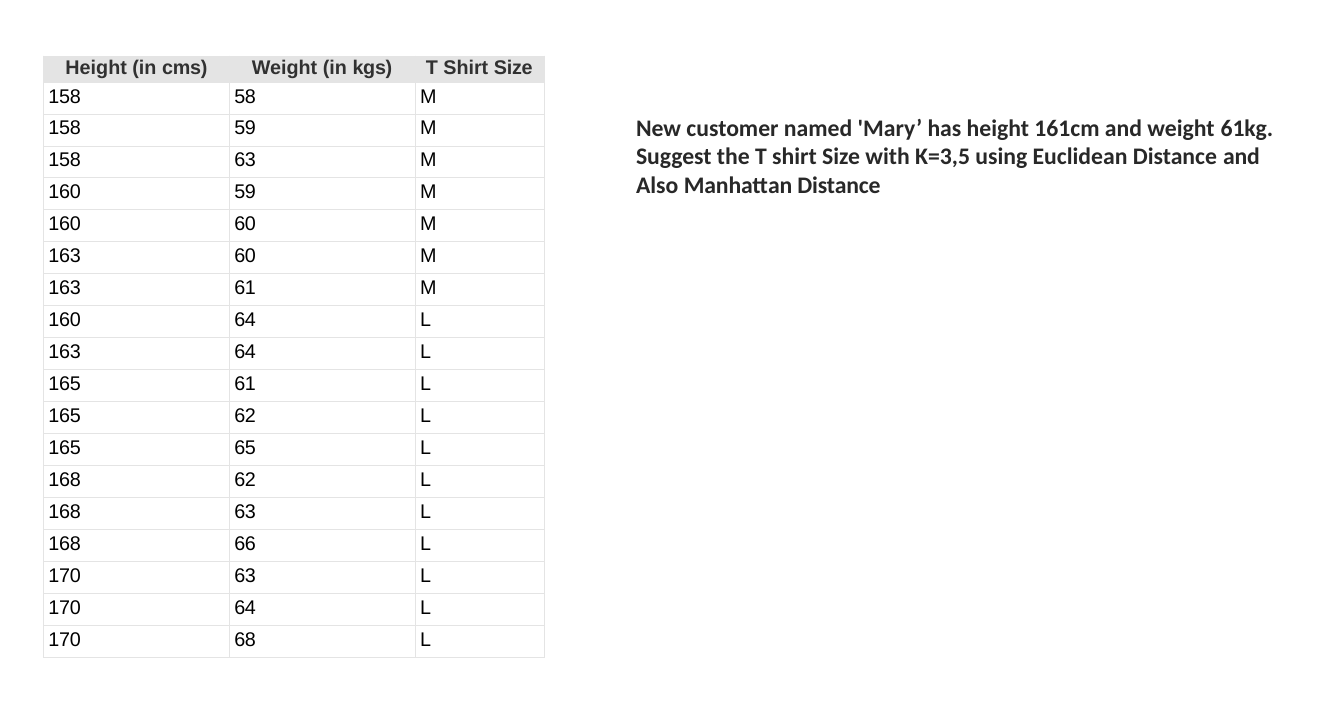
"""Build the T-shirt size table slide with its nearest-neighbour question."""
from lxml import etree
from pptx import Presentation
from pptx.dml.color import RGBColor
from pptx.enum import text
from pptx.oxml import ns
from pptx.util import Pt

INK = RGBColor(0x28, 0x28, 0x28)
HEADER_INK = RGBColor(0x31, 0x31, 0x31)
BLACK = RGBColor(0, 0, 0)
GREY = RGBColor(0xE4, 0xE4, 0xE4)

QUESTION = [
    ("New customer named 'Mary’ has height 161cm and weight ", 0),
    ("61kg. ", -0.1),
    ("Suggest the T shirt Size with K=3,5 using Euclidean Distance ", 0),
    ("and ", -0.2),
    ("Also ", 0),
    ("Manhattan Distance", -0.1),
]
HEADERS = [("Height (in ", "cms)"), ("Weight (in ", "kgs)"), ("T Shirt ", "Size")]
CUSTOMERS = [
    (158, 58, "M"), (158, 59, "M"), (158, 63, "M"), (160, 59, "M"),
    (160, 60, "M"), (163, 60, "M"), (163, 61, "M"), (160, 64, "L"),
    (163, 64, "L"), (165, 61, "L"), (165, 62, "L"), (165, 65, "L"),
    (168, 62, "L"), (168, 63, "L"), (168, 66, "L"), (170, 63, "L"),
    (170, 64, "L"), (170, 68, "L"),
]
COLUMN_WIDTHS = [141, 141, 98]
HEADER_INDENTS = [16.5, 17, 8]
CELL_INDENT = 3.6
TRACKING = [-0.2, -0.2, -0.5]
ROW_HEIGHTS = [20, 24] + [24.25] * (len(CUSTOMERS) - 1)


def write(frame, runs, *, font="Arial", size=15, color=BLACK, bold=False):
    """Fill a frame with left-aligned (wording, letter spacing) runs."""
    paragraph = frame.paragraphs[0]
    paragraph.alignment = text.PP_ALIGN.LEFT
    for wording, spacing in runs:
        run = paragraph.add_run()
        run.text = wording
        run.font.name = font
        run.font.size = Pt(size)
        run.font.bold = bold
        run.font.color.rgb = color
        run._r.get_or_add_rPr().set("spc", str(round(spacing * 100)))


def set_margins(box, left, top):
    """Set the left and top margins in points and clear the others."""
    box.margin_left, box.margin_top = Pt(left), Pt(top)
    box.margin_right = box.margin_bottom = 0


def add_borders(cell):
    """Draw a thin grey line on each side of a cell."""
    properties = cell._tc.get_or_add_tcPr()
    for position, side in enumerate(("lnL", "lnR", "lnT", "lnB")):
        line = etree.Element(ns.qn(f"a:{side}"), w=str(Pt(0.75)))
        fill = etree.SubElement(line, ns.qn("a:solidFill"))
        etree.SubElement(fill, ns.qn("a:srgbClr"), val=str(GREY))
        properties.insert(position, line)


def add_sizes(slide):
    """Add the table of heights, weights and sizes."""
    sizes = slide.shapes.add_table(
        len(ROW_HEIGHTS), len(COLUMN_WIDTHS), Pt(33.2), Pt(42.5),
        Pt(sum(COLUMN_WIDTHS)), Pt(sum(ROW_HEIGHTS))).table
    sizes.horz_banding = False
    for column, width in zip(sizes.columns, COLUMN_WIDTHS):
        column.width = Pt(width)
    for row, height in zip(sizes.rows, ROW_HEIGHTS):
        row.height = Pt(height)
    for c, (label, unit) in enumerate(HEADERS):
        header = sizes.cell(0, c)
        set_margins(header, HEADER_INDENTS[c], 0.5)
        header.fill.solid()
        header.fill.fore_color.rgb = GREY
        write(header.text_frame, [(label, 0), (unit, -0.2)], color=HEADER_INK, bold=True)
        add_borders(header)
    for r, customer in enumerate(CUSTOMERS, 1):
        for c, value in enumerate(customer):
            cell = sizes.cell(r, c)
            set_margins(cell, CELL_INDENT, 2.2)
            cell.fill.background()
            write(cell.text_frame, [(str(value), TRACKING[c])])
            add_borders(cell)


def add_question(slide):
    """Place the question in the title placeholder."""
    title = slide.shapes.title
    title.left, title.top, title.width, title.height = Pt(481.7), Pt(84.2), Pt(486), Pt(67)
    frame = title.text_frame
    set_margins(frame, 1, 1)
    frame.word_wrap = True
    frame.auto_size = text.MSO_AUTO_SIZE.SHAPE_TO_FIT_TEXT
    frame.vertical_anchor = text.MSO_ANCHOR.TOP
    write(frame, QUESTION, font="Calibri", size=18, color=INK, bold=True)


def main():
    """Make the slide and save it."""
    deck = Presentation()
    deck.slide_width, deck.slide_height = Pt(1020), Pt(540)
    slide = deck.slides.add_slide(deck.slide_layouts[5])
    add_sizes(slide)
    add_question(slide)
    deck.save("out.pptx")


if __name__ == "__main__":
    main()
